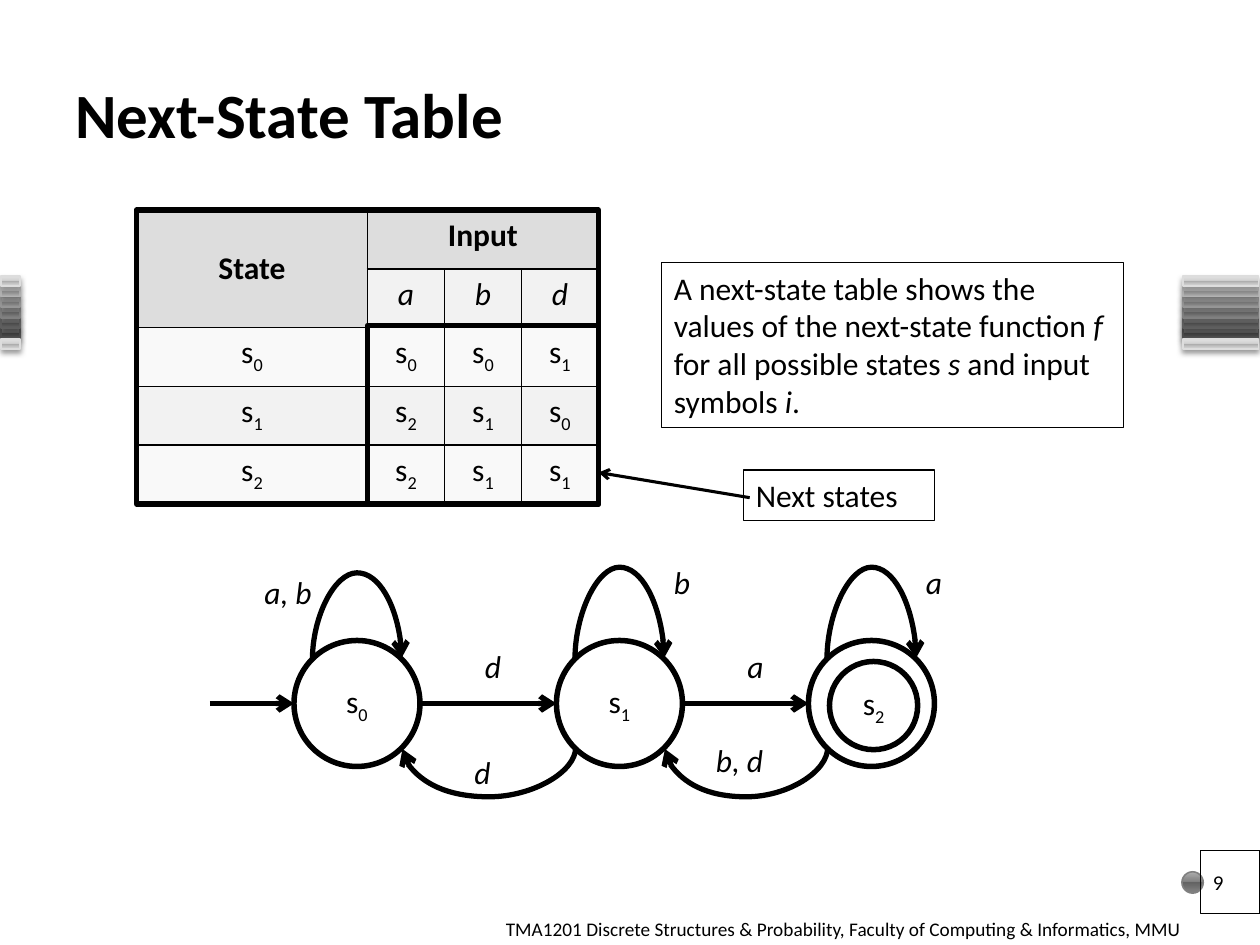
"""Build the Next-State Table slide: a state table and its transition diagram."""
from lxml import etree
from pptx import Presentation
from pptx.dml.color import RGBColor
from pptx.enum.shapes import MSO_CONNECTOR, MSO_SHAPE
from pptx.enum.text import MSO_ANCHOR, MSO_AUTO_SIZE, PP_ALIGN
from pptx.oxml import parse_xml
from pptx.oxml.ns import nsdecls, qn
from pptx.util import Pt

RECT, OVAL = MSO_SHAPE.RECTANGLE, MSO_SHAPE.OVAL
STRAIGHT, CURVE = MSO_CONNECTOR.STRAIGHT, MSO_CONNECTOR.CURVE
TOP, MIDDLE, BOTTOM = MSO_ANCHOR.TOP, MSO_ANCHOR.MIDDLE, MSO_ANCHOR.BOTTOM
LEFT, CENTER = PP_ALIGN.LEFT, PP_ALIGN.CENTER
FIT = MSO_AUTO_SIZE.SHAPE_TO_FIT_TEXT
BLACK = "000000"
rgb = RGBColor.from_string


def write(tf, runs, size=18, align=LEFT, bold=False, italic=False):
    p = tf.paragraphs[0]
    p.alignment = align
    p.font.name, p.font.size = "Calibri", Pt(size)
    p.font.color.rgb = rgb(BLACK)
    p.font.bold, p.font.italic = bold, italic
    for text, kind in runs:
        r = p.add_run()
        r.text = text
        if kind == "italic":
            r.font.italic = True
        elif kind == "sub":
            r._r.get_or_add_rPr().set("baseline", "-25000")


def add_box(shape, x, y, w, h, line=0.75, anchor=TOP):
    sp = s.shapes.add_shape(shape, Pt(x), Pt(y), Pt(w), Pt(h))
    sp.shadow.inherit = False
    sp.fill.background()
    sp.line.color.rgb = rgb(BLACK)
    sp.line.width = Pt(line)
    sp.text_frame.word_wrap = True
    sp.text_frame.vertical_anchor = anchor
    return sp


prs = Presentation()
prs.slide_width, prs.slide_height = Pt(720), Pt(540)
s = prs.slides.add_slide(prs.slide_layouts[6])

shades = {
    "dark": ("999999", "575757", "3B3B3B", "525252", "717171", "4D4D4D", "303030"),
    "deep": ("9F9F9F", "646464", "494949", "616161", "7B7B7B", "5F5F5F", "3B3B3B"),
    "mid": ("ADADAD", "7E7E7E", "636363", "7E7E7E", "929292", "808080", "4F4F4F"),
    "soft": ("B9B9B9", "919191", "747474", "929292", "A2A2A2", "969696", "5D5D5D"),
    "pale": ("CACACA", "A9A9A9", "898989", "ACACAC", "B9B9B9", "B2B2B2", "6E6E6E"),
    "light": ("E6E6E6", "CECECE", "AAAAAA", "D4D4D4", "DEDEDE", "DDDDDD", "888888"),
}
ornaments = [(RECT, x, 157.6 + 6 * row, w, 6, shade)
             for x, w in ((0.7, 10.8), (676, 43.2))
             for row, shade in ((5, "dark"), (4, "deep"), (3, "mid"), (2, "soft"),
                                (1, "pale"), (0, "light"), (6, "light"))]
ornaments.append((OVAL, 675.4, 498.2, 12.2, 12.2, "mid"))
for shape, x, y, w, h, shade in ornaments:
    *stops, line, shadow = shades[shade]
    sp = add_box(shape, x, y, w, h, 0.9)
    sp.line.color.rgb = rgb(line)
    gs = "".join(f'<a:gs pos="{pos}000"><a:srgbClr val="{c}"/></a:gs>'
                 for pos, c in zip((0, 49, 49, 92, 100), stops))
    spPr = sp._element.spPr
    spPr.replace(spPr.find(qn("a:noFill")), parse_xml(
        f'<a:gradFill {nsdecls("a")}><a:gsLst>{gs}</a:gsLst>'
        '<a:lin ang="5400000" scaled="0"/></a:gradFill>'))
    if shape == RECT:
        spPr.find(qn("a:effectLst")).append(parse_xml(
            f'<a:outerShdw {nsdecls("a")} blurRad="{Pt(3.1)}" dist="{Pt(2)}" dir="5400000">'
            f'<a:srgbClr val="{shadow}"><a:alpha val="83000"/></a:srgbClr></a:outerShdw>'))

sp = add_box(RECT, 282, 520.5, 438, 19.5)
sp.fill.solid()
sp.fill.fore_color.rgb = rgb("FFFFFF")
sp.line.fill.background()
write(sp.text_frame, [("TMA1201 Discrete Structures & Probability, "
                       "Faculty of Computing & Informatics, MMU", "")], 11)

sp = s.shapes.add_textbox(Pt(36), Pt(0), Pt(606), Pt(90))
sp.text_frame.word_wrap = True
sp.text_frame.vertical_anchor = BOTTOM
write(sp.text_frame, [("Next-State Table", "")], 36, bold=True)

sp = add_box(RECT, 378, 150, 264, 94.5)
write(sp.text_frame, [
    ("A next-state table shows the values of the next-state function ", ""),
    ("f", "italic"), (" for all possible states ", ""), ("s", "italic"),
    (" and input symbols ", ""), ("i", "italic"), (".", "")])

rows = [("State", "Input", "", ""), ("", "a", "b", "d"),
        ("s0", "s0", "s0", "s1"), ("s1", "s2", "s1", "s0"), ("s2", "s2", "s1", "s1")]
row_fills = ("DDDDDD", "F2F2F2", "F9F9F9", "F2F2F2", "F9F9F9")
table = s.shapes.add_table(5, 4, Pt(78), Pt(120), Pt(264), Pt(168)).table
table.first_row = table.horz_banding = False
for col, width in zip(table.columns, (132, 44, 44, 44)):
    col.width = Pt(width)
for i, row in enumerate(rows):
    table.rows[i].height = Pt(33.6)
    for j, text in enumerate(row):
        cell = table.cell(i, j)
        tcPr = cell._tc.get_or_add_tcPr()
        for side in ("lnL", "lnR", "lnT", "lnB"):
            ln = etree.SubElement(tcPr, qn(f"a:{side}"), w=str(Pt(1)))
            fill = etree.SubElement(ln, qn("a:solidFill"))
            etree.SubElement(fill, qn("a:srgbClr"), val=BLACK)
        cell.fill.solid()
        cell.fill.fore_color.rgb = rgb(row_fills[0] if j == 0 and i < 2 else row_fills[i])
        if text:
            runs = [("s", ""), (text[1], "sub")] if i > 1 else [(text, "")]
            write(cell.text_frame, runs, align=CENTER, bold=i == 0, italic=i == 1)
table.cell(0, 0).merge(table.cell(1, 0))
table.cell(0, 1).merge(table.cell(0, 3))
table.cell(0, 0).vertical_anchor = MIDDLE

for x, y, size, name in ((168, 366, 72, "0"), (318, 366, 72, "1"),
                         (462, 366, 72, ""), (474, 378, 50.4, "2")):
    sp = add_box(OVAL, x, y, size, size, 3.15, MIDDLE)
    if name:
        write(sp.text_frame, [("s", ""), (name, "sub")], align=CENTER)

arrows = []
for x1, x2 in ((120, 168), (240, 318), (390, 462)):
    arrows.append((s.shapes.add_connector(STRAIGHT, Pt(x1), Pt(402), Pt(x2), Pt(402)), 3))
for x, y, span, depth, flip in ((204, 376.5, 51, 50.04, 1), (354, 376.5, 51, 53.26, 1),
                                (498, 376.5, 51, 53.26, 1), (279.5, 427.5, 99, 28.54, -1),
                                (426.5, 427.5, 93, 28.54, -1)):
    dx, dy = flip / 2, flip * span / 2
    sp = s.shapes.add_connector(CURVE, Pt(x + dx), Pt(y + dy), Pt(x - dx), Pt(y - dy))
    sp.rotation = 90
    avLst = sp._element.spPr.find(qn("a:prstGeom")).get_or_add_avLst()
    etree.SubElement(avLst, qn("a:gd"), name="adj1", fmla=f"val {round(depth * 100000)}")
    arrows.append((sp, 3))
arrows.append((s.shapes.add_connector(STRAIGHT, Pt(428.4), Pt(284.4), Pt(342), Pt(270)), 1.75))
for sp, width in arrows:
    sp.line.color.rgb = rgb(BLACK)
    sp.line.width = Pt(width)
    etree.SubElement(sp.line._get_or_add_ln(), qn("a:tailEnd"), type="arrow")
    etree.SubElement(sp._element.spPr, qn("a:effectLst"))

for text, x, y in (("a, b", 144, 324), ("d", 270, 366), ("b", 378, 318), ("a", 420, 366),
                   ("a", 522, 318), ("d", 264, 427), ("b, d", 402, 420)):
    sp = s.shapes.add_textbox(Pt(x), Pt(y), Pt(42 if len(text) > 1 else 24.5), Pt(29))
    sp.text_frame.word_wrap = False
    sp.text_frame.auto_size = FIT
    write(sp.text_frame, [(text, "")], italic=True)

add_box(RECT, 78, 120, 264, 168, 3.15)
add_box(RECT, 210, 186, 132, 102, 3.15)
sp = add_box(RECT, 686, 486, 34, 36, anchor=MIDDLE)
write(sp.text_frame, [("9", "")], 12)
sp = add_box(RECT, 424.8, 268.5, 109.2, 29)
write(sp.text_frame, [("Next states", "")])

prs.save("out.pptx")
